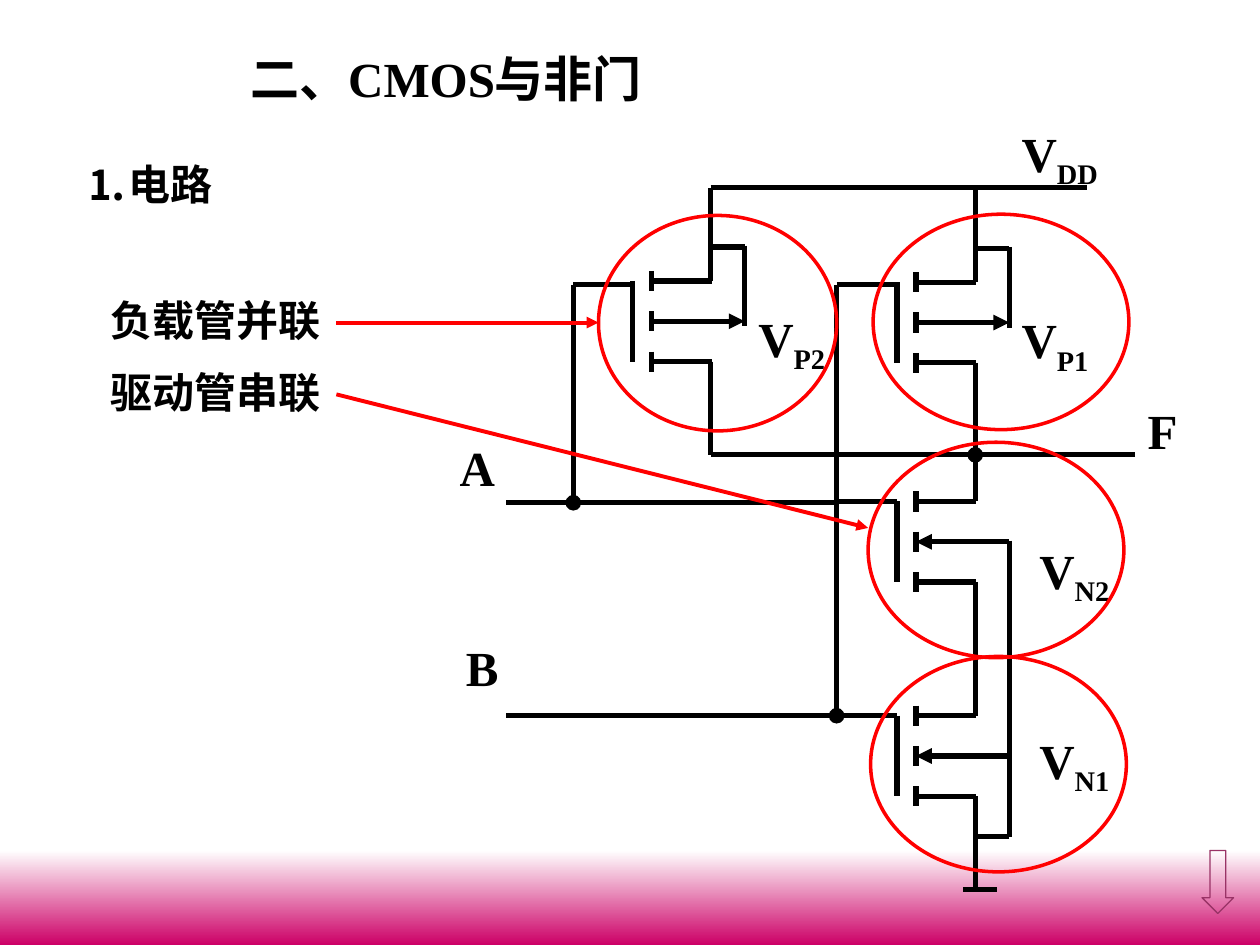
from dataclasses import dataclass

from lxml.etree import SubElement
from pptx import Presentation
from pptx.dml.color import RGBColor
from pptx.enum.shapes import MSO_CONNECTOR, MSO_SHAPE
from pptx.enum.text import MSO_ANCHOR, PP_ALIGN
from pptx.oxml.ns import qn
from pptx.util import Inches, Pt


@dataclass(frozen=True)
class Theme:
    """Colours, font, type sizes and line widths of the slide."""

    ink: RGBColor = RGBColor(0, 0, 0)
    accent: RGBColor = RGBColor(0xFF, 0, 0)
    paper: RGBColor = RGBColor(0xFF, 0xFF, 0xFF)
    band: RGBColor = RGBColor(0xCC, 0, 0x66)
    marker: RGBColor = RGBColor(0x99, 0x33, 0x66)
    font: str = "Times New Roman"
    large: float = 28
    body: float = 24
    wire: float = 3
    pointer: float = 2.25
    ring: float = 2
    thin: float = 0.75


THEME = Theme()


def add_text(slide, left, top, width, height, text, size=THEME.large, subscript="", centred=False):
    """Add one bold line of text with an optional subscript run."""
    box = slide.shapes.add_textbox(Inches(left), Inches(top), Inches(width), Inches(height))
    frame = box.text_frame
    frame.word_wrap = True
    para = frame.paragraphs[0]
    if centred:
        frame.vertical_anchor = MSO_ANCHOR.MIDDLE
        para.alignment = PP_ALIGN.CENTER
    for part in filter(None, (text, subscript)):
        span = para.add_run()
        span.text = part
        span.font.name = THEME.font
        span.font.size = Pt(size)
        span.font.bold = True
        span.font.color.rgb = THEME.ink
        if part == subscript:
            span._r.get_or_add_rPr().set("baseline", "-25000")


def add_line(slide, start, end, head=None, tail=None, colour=THEME.ink, width=THEME.wire):
    """Add a straight line with optional end marks."""
    points = [Inches(value) for value in (*start, *end)]
    line = slide.shapes.add_connector(MSO_CONNECTOR.STRAIGHT, *points)
    line.line.color.rgb = colour
    line.line.width = Pt(width)
    outline = line.line._get_or_add_ln()
    for tag, mark in (("a:headEnd", head), ("a:tailEnd", tail)):
        if mark:
            SubElement(outline, qn(tag)).set("type", mark)
    SubElement(line._element.spPr, qn("a:effectLst"))


def add_outline(slide, kind, left, top, width, height, colour, weight):
    """Add an unfilled preset shape."""
    shape = slide.shapes.add_shape(kind, Inches(left), Inches(top), Inches(width), Inches(height))
    shape.shadow.inherit = False
    shape.fill.background()
    shape.line.color.rgb = colour
    shape.line.width = Pt(weight)


def add_band(slide):
    """Add the gradient band along the bottom edge."""
    band = slide.shapes.add_shape(MSO_SHAPE.RECTANGLE, 0, Inches(6.75), Inches(10), Inches(0.75))
    band.shadow.inherit = False
    band.line.fill.background()
    band.fill.gradient()
    band.fill.gradient_angle = 270
    for stop, position, colour in zip(band.fill.gradient_stops, (0, 1), (THEME.paper, THEME.band)):
        stop.position = position
        stop.color.rgb = colour


def add_transistor(slide, channel, middle, p_type):
    """Add a transistor around the middle of its channel."""
    half, drain, bulk, plate = 0.32, channel + 0.47, channel + 0.74, channel - 0.15
    for row in (middle - half, middle, middle + half):
        add_line(slide, (channel, row - 0.08), (channel, row + 0.08))
    for side in (-1, 1):
        row = middle + side * half
        add_line(slide, (channel, row), (drain + 0.01, row))
        add_line(slide, (drain, row), (drain, middle + side * 1.06))
    add_line(slide, (plate, middle - half), (plate, middle + half))
    if p_type:
        add_line(slide, (channel, middle), (bulk, middle), tail="triangle")
        add_line(slide, (bulk, middle - 0.6), (bulk, middle + 0.04))
        add_line(slide, (drain, middle - 0.59), (bulk, middle - 0.59))
    else:
        add_line(slide, (channel, middle), (bulk, middle), head="triangle")


def add_circuit(slide):
    """Add the transistors, the wires between them and their labels."""
    for channel, middle, p_type in (
        (5.17, 2.55, True), (7.27, 2.56, True), (7.27, 4.3, False), (7.27, 6, False),
    ):
        add_transistor(slide, channel, middle, p_type)
    for start, end, head in (
        ((5.64, 1.49), (8.63, 1.49), None),
        ((7.74, 3.61), (5.64, 3.61), "oval"),
        ((9.01, 3.61), (7.74, 3.61), None),
        ((4.55, 3.99), (4.55, 2.26), "oval"),
        ((4.55, 2.26), (5.03, 2.26), None),
        ((4.02, 3.99), (6.64, 3.99), None),
        ((6.64, 3.98), (7.12, 3.98), None),
        ((6.64, 5.68), (4.02, 5.68), "oval"),
        ((6.64, 5.68), (7.12, 5.68), None),
        ((6.64, 2.26), (6.64, 5.68), None),
        ((6.64, 2.26), (7.12, 2.26), None),
        ((8.01, 4.29), (8.01, 6.64), None),
        ((8.01, 6.64), (7.74, 6.64), None),
        ((7.91, 7.06), (7.64, 7.06), None),
    ):
        add_line(slide, start, end, head)
    for left, top, name in (
        (8.01, 0.93, "DD"), (5.92, 2.4, "P2"), (8.01, 2.41, "P1"),
        (8.15, 4.24, "N2"), (8.15, 5.75, "N1"),
    ):
        add_text(slide, left, top, 1, 0.63, "V", subscript=name)
    for left, top, name in ((3.55, 3.42, "A"), (3.6, 5.01, "B"), (9.01, 3.13, "F")):
        add_text(slide, left, top, 0.47, 0.57, name)


def add_notes_on_circuit(slide):
    """Add the remarks with their pointers and the rings they refer to."""
    for top, text, target in ((2.29, "负载管并联", (4.75, 2.56)), (2.86, "驱动管串联", (6.89, 4.19))):
        add_text(slide, 0.78, top, 1.89, 0.5, text, THEME.body)
        add_line(slide, (2.67, top + 0.27), target, tail="triangle",
                 colour=THEME.accent, width=THEME.pointer)
    for left, top, width in ((4.75, 1.71, 1.89), (6.93, 1.7, 2.03), (6.89, 3.51, 2.03), (6.91, 5.21, 2.03)):
        add_outline(slide, MSO_SHAPE.OVAL, left, top, width, 1.71, THEME.accent, THEME.ring)


def main():
    """Build the slide and save the deck."""
    deck = Presentation()
    deck.slide_width, deck.slide_height = Inches(10), Inches(7.5)
    page = deck.slides.add_slide(deck.slide_layouts[6])
    add_band(page)
    add_text(page, 1.18, 0.31, 4.72, 0.61, "二、CMOS与非门", centred=True)
    add_text(page, 0.59, 1.21, 1.21, 0.5, "⒈电路", THEME.body)
    add_circuit(page)
    add_notes_on_circuit(page)
    add_outline(page, MSO_SHAPE.DOWN_ARROW, 9.54, 6.75, 0.25, 0.5, THEME.marker, THEME.thin)
    deck.save("out.pptx")


if __name__ == "__main__":
    main()
